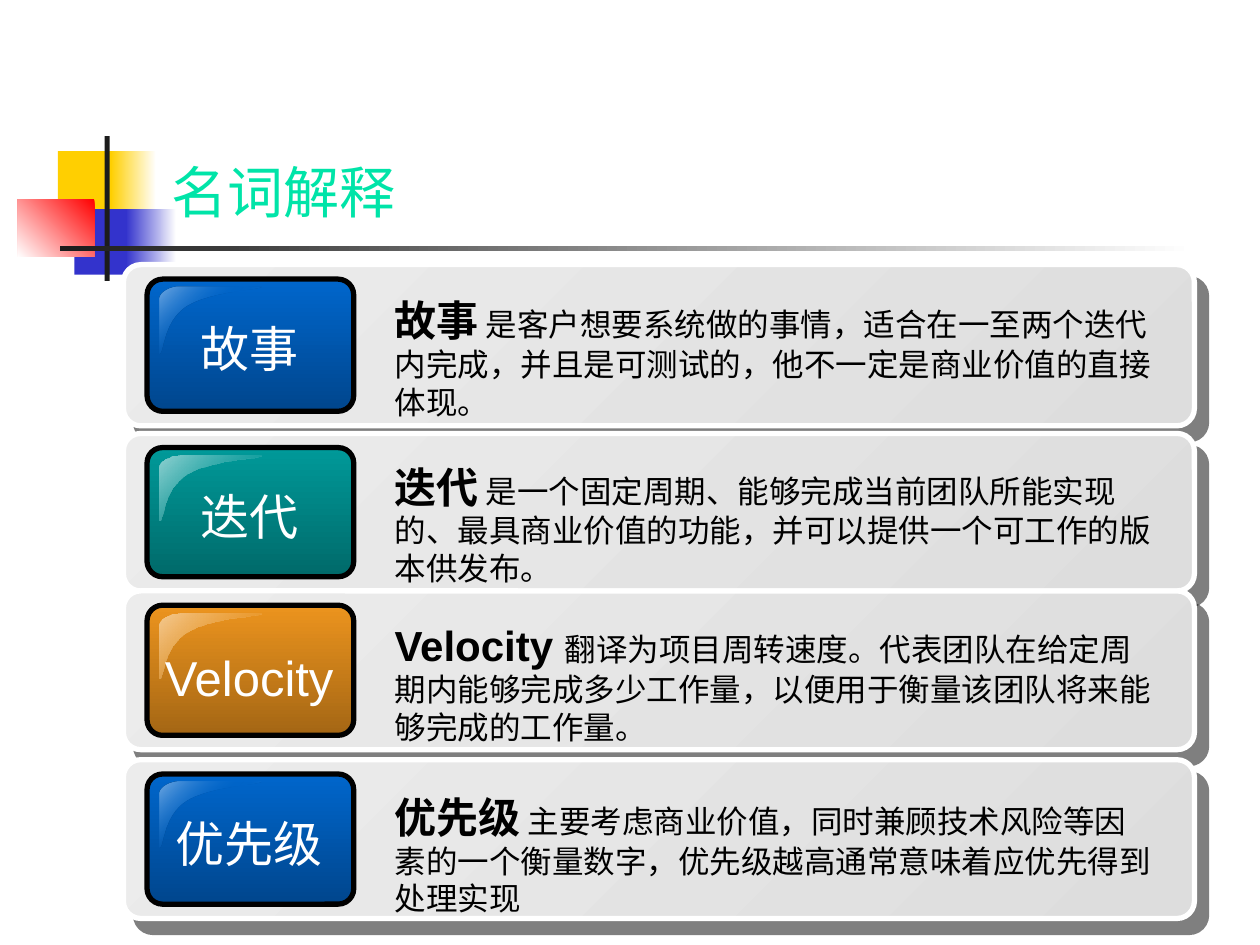
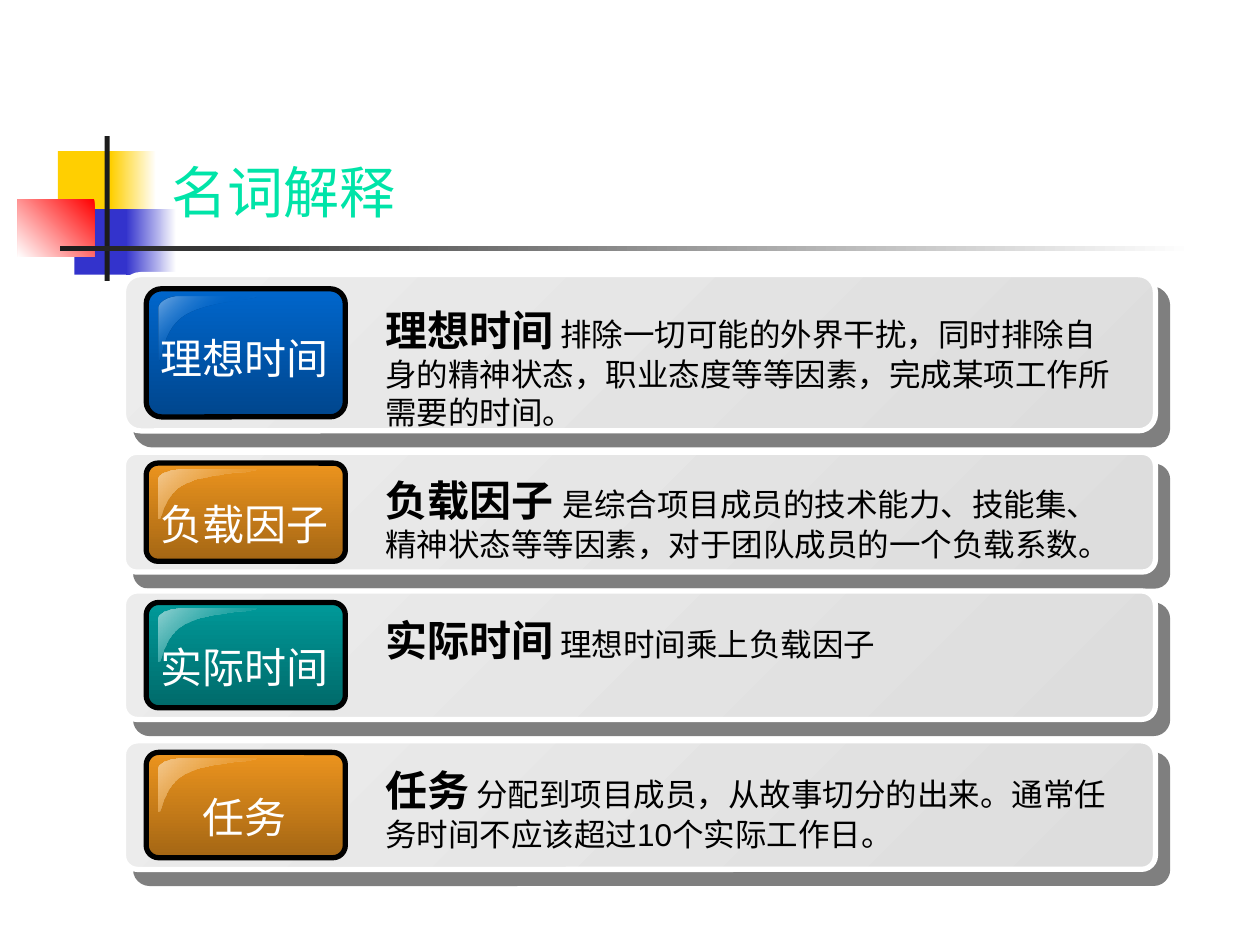
from itertools import cycle

from lxml import etree
from pptx import Presentation
from pptx.dml.color import RGBColor
from pptx.enum.shapes import MSO_SHAPE
from pptx.enum.text import MSO_ANCHOR, MSO_AUTO_SIZE, PP_ALIGN
from pptx.oxml.ns import qn
from pptx.util import Inches, Pt

RECT, ROUNDED = MSO_SHAPE.RECTANGLE, MSO_SHAPE.ROUNDED_RECTANGLE
LEFT, CENTER = PP_ALIGN.LEFT, PP_ALIGN.CENTER
BOTTOM = MSO_ANCHOR.BOTTOM
FIXED, GROW = MSO_AUTO_SIZE.NONE, MSO_AUTO_SIZE.SHAPE_TO_FIT_TEXT

BODY_FONT, TITLE_FONT = "Arial", "Lato"
WHITE, BLACK, INK, MINT = "FFFFFF", "000000", "1C1C1C", "00E4A8"
YELLOW, INDIGO, RED = "FFCF01", "3333CC", "FF0000"
CARD_STOPS = [(0, "DDDDDD"), (100, "ECECEC")]

# Button gradient and gloss gradient; a third value is the opacity in percent
BLUE = ([(0, "0066CC"), (100, "00468D")],
        [(0, "73AAE2"), (50, "0066CC", 0), (100, "73AAE2")])
TEAL = ([(0, "009999"), (100, "006A6A")], [(0, "009999", 0), (100, "92D2D2")])
ORANGE = ([(0, "EC941E"), (100, "A46614")], [(0, "EC941E", 0), (100, "F4CA91")])

# Gloss outline in fractions of its box: one point is a line, three are a curve
GLOSS_START = (0.2, 0)
GLOSS_SEGMENTS = [
    [(0.1, 0), (0, 0.09), (0, 0.19)],
    [(0, 1)],
    [(0.05, 1), (0.03, 0.52), (0.27, 0.29)],
    [(0.52, 0.06), (1, 0.06), (0.99, 0)],
]

# Each card: top, height, label and body offsets, style, label, term, explanation
STORY_CARDS = [
    (2.1, 1.28, 0.38, 0.19, BLUE, "故事", "故事",
     [" 是客户想要系统做的事情，适合在一至两个迭代内完成，并且是可测试的，他不一定是商业价值的直接体现。"]),
    (3.44, 1.25, 0.37, 0.17, TEAL, "迭代", "迭代",
     [" 是一个固定周期、能够完成当前团队所能实现的、最具商业价值的功能，并可以提供一个可工作的版本供发布。"]),
    (4.69, 1.26, 0.4, 0.18, ORANGE, "Velocity", "Velocity ",
     ["翻译为项目周转速度。代表团队在给定周期内能够完成多少工作量，以便用于衡量该团队",
      "将来", "能够完成的", "工作量", "。"]),
    (6.03, 1.26, 0.38, 0.2, BLUE, "优先级", "优先级",
     [" 主要考虑商业价值，同时兼顾技术风险等因素的一个衡量数字，优先级越高通常意味着应优先得到处理实现"]),
]
TIME_CARDS = [
    (2.18, 1.24, 0.41, 0.19, BLUE, "理想时间", "理想时间",
     [" 排除一切可能的外界干扰，同时排除自身的精神状态，职业态度等等因素，完成某项工作所需要的时间。"]),
    (3.59, 0.95, 0.32, 0.13, ORANGE, "负载因子", "负载因子 ",
     ["是综合项目成员的技术能力、技能集、精神状态等等因素，对于团队成员的一个负载系数。"]),
    (4.69, 1.02, 0.35, 0.14, TEAL, "实际时间", "实际时间",
     [" 理想时间乘上负载因子"]),
    (5.88, 1.02, 0.35, 0.14, ORANGE, "任务", "任务",
     [" 分配到项目成员，从故事切分的出来。通常任务时间不应该超过10个实际工作日。"]),
]


def rgb(value):
    return RGBColor.from_string(value)


def add_color(parent, value, opacity=100):
    color = etree.SubElement(parent, qn("a:srgbClr"), val=value)
    if opacity < 100:
        etree.SubElement(color, qn("a:alpha"), val=str(opacity * 1000))


def set_gradient(shape, stops, angle):
    """Fill a shape with a linear gradient, its angle measured clockwise."""
    shape.fill.solid()
    properties = shape._element.spPr
    gradient = etree.Element(qn("a:gradFill"), rotWithShape="1")
    stop_list = etree.SubElement(gradient, qn("a:gsLst"))
    for position, *color in stops:
        stop = etree.SubElement(stop_list, qn("a:gs"), pos=str(position * 1000))
        add_color(stop, *color)
    etree.SubElement(gradient, qn("a:lin"), ang=str(angle * 60000), scaled="0")
    properties.replace(properties.find(qn("a:solidFill")), gradient)


def add_drop_shadow(shape):
    effects = shape._element.spPr.find(qn("a:effectLst"))
    shadow = etree.SubElement(
        effects, qn("a:outerShdw"), blurRad="0", dist=str(Pt(10.6)),
        dir=str(49 * 60000), algn="ctr", rotWithShape="0")
    add_color(shadow, BLACK, 50)


def paint(shape, stops, angle=0, outline=None):
    shape.shadow.inherit = False
    if isinstance(stops, str):
        shape.fill.solid()
        shape.fill.fore_color.rgb = rgb(stops)
    else:
        set_gradient(shape, stops, angle)
    if outline:
        shape.line.color.rgb = rgb(outline)
        shape.line.width = Pt(3)
    else:
        shape.line.fill.background()


def add_box(shapes, kind, box, stops, angle=0, outline=None, corner=None):
    shape = shapes.add_shape(kind, *map(Inches, box))
    if corner:
        shape.adjustments[0] = corner
    paint(shape, stops, angle, outline)
    return shape


def format_span(span, size, color, font=BODY_FONT, bold=False):
    span.font.name, span.font.size, span.font.bold = font, Pt(size), bold
    span.font.color.rgb = rgb(color)


def add_text(shapes, box, wrap, align):
    frame = shapes.add_textbox(*map(Inches, box)).text_frame
    frame.word_wrap = wrap
    frame.auto_size = GROW
    para = frame.paragraphs[0]
    para.alignment = align
    # Keep punctuation inside the text width
    para._p.get_or_add_pPr().set("hangingPunct", "0")
    return para


def add_gloss(shapes, left, top, width, height, stops):
    def place(point):
        return Inches(left + point[0] * width), Inches(top + point[1] * height)

    builder = shapes.build_freeform(*place(GLOSS_START))
    builder.add_line_segments(
        [place(point) for segment in GLOSS_SEGMENTS for point in segment])
    gloss = builder.convert_to_shape()
    # Turn each run of three lines into one Bézier curve
    lines = iter(list(gloss._element.iter(qn("a:lnTo"))))
    for segment in GLOSS_SEGMENTS:
        first, *others = [next(lines) for _ in segment]
        if others:
            curve = etree.Element(qn("a:cubicBezTo"))
            first.addprevious(curve)
            for line in (first, *others):
                curve.append(line[0])
                line.getparent().remove(line)
    paint(gloss, stops, 225)


def add_card(page, box, offsets, style, label, label_size, term, parts):
    """One term: grey card, glossy button with label, explanation."""
    left, top, width, height = box
    label_offset, body_offset = offsets
    button_stops, gloss_stops = style
    shapes = page.shapes.add_group_shape().shapes

    def inside(x, y, w, h):
        return left + x * width, top + y * height, w * width, h * height

    card = add_box(shapes, ROUNDED, box, CARD_STOPS, 225, WHITE, 0.109)
    add_drop_shadow(card)
    button = inside(0.022, 0.09, 0.193, 0.82)
    add_box(shapes, ROUNDED, button, button_stops, 90, BLACK, 0.119)
    add_gloss(shapes, *inside(0.034, 0.14, 0.096, 0.41), gloss_stops)

    # Button label
    label_box = (button[0] - 0.01, top + label_offset, button[2], label_size / 49)
    para = add_text(shapes, label_box, False, CENTER)
    para.text = label
    format_span(para.runs[0], label_size, WHITE)

    # Explanation, led by the term in bold
    body_box = (left + 0.2415 * width, top + body_offset, 0.735 * width,
                1.1 if height > 1.1 else 0.8)
    para = add_text(shapes, body_box, True, LEFT)
    span = para.add_run()
    span.text = term
    format_span(span, 24, BLACK, bold=True)
    for part, font in zip(parts, cycle((BODY_FONT, TITLE_FONT))):
        span = para.add_run()
        span.text = part
        format_span(span, 18, BLACK, font)


def move_ornament_to_layout(page, layout):
    """Coloured squares and crossed rules, shared through the layout."""
    ornament = [
        ((0.46, 1.2, 0.48, 0.52), YELLOW, 0),
        ((0.88, 1.2, 0.36, 0.52), [(0, WHITE), (100, YELLOW)], 180),
        ((0.59, 1.66, 0.46, 0.52), INDIGO, 0),
        ((1, 1.66, 0.4, 0.52), [(0, WHITE), (100, INDIGO)], 180),
        ((0.14, 1.58, 0.61, 0.46), [(0, RED), (100, WHITE)], 135),
        ((0.83, 1.08, 0.04, 1.15), INK, 0),
        ((0.48, 1.95, 9, 0.04), [(0, WHITE), (100, INK)], 180),
    ]
    for number, (box, stops, angle) in enumerate(ornament):
        element = add_box(page.shapes, RECT, box, stops, angle)._element
        element.nvSpPr.cNvPr.id = 100 + number
        layout.shapes._spTree.insert(2 + number, element)


def set_title(page, text):
    title = page.shapes.title
    title.left, title.top, title.width, title.height = map(
        Inches, (1.26, 0.23, 8.52, 1.6))
    frame = title.text_frame
    frame.text = text
    frame.vertical_anchor = BOTTOM
    frame.auto_size = FIXED
    para = frame.paragraphs[0]
    para.alignment = LEFT
    format_span(para.runs[0], 32, MINT, TITLE_FONT)


def add_glossary_page(deck, cards, card_width, label_size):
    page = deck.slides.add_slide(deck.slide_layouts[5])
    set_title(page, "名词解释")
    for top, height, label_offset, body_offset, style, label, term, parts in cards:
        add_card(page, (0.98, top, card_width, height),
                 (label_offset, body_offset), style, label, label_size, term, parts)
    return page


def main():
    deck = Presentation()
    deck.slide_width, deck.slide_height = Inches(10), Inches(7.5)
    page = add_glossary_page(deck, STORY_CARDS, 8.5, 28)
    add_glossary_page(deck, TIME_CARDS, 8.19, 24)
    move_ornament_to_layout(page, page.slide_layout)
    deck.save("out.pptx")


if __name__ == "__main__":
    main()
